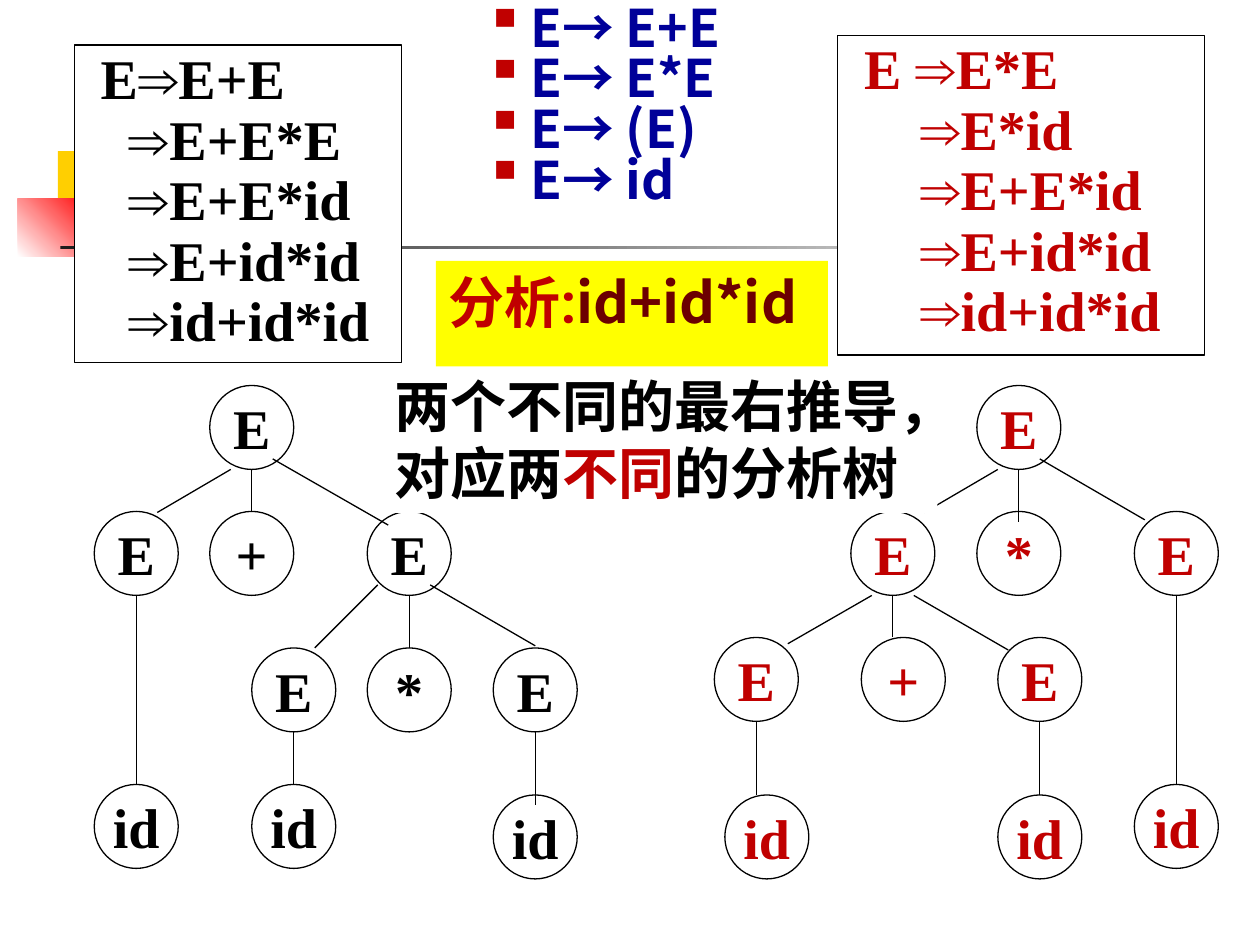
from lxml.etree import SubElement
from pptx import Presentation
from pptx.dml.color import RGBColor
from pptx.enum.shapes import MSO_CONNECTOR, MSO_SHAPE
from pptx.enum.text import MSO_ANCHOR, PP_ALIGN
from pptx.oxml.ns import qn
from pptx.util import Cm, Pt

COLORS = {
    "black": "000000", "white": "FFFFFF", "red": "C00000", "maroon": "6C0000",
    "navy": "000099", "yellow": "FFFF00", "gold": "FFCF01",
    "bright_red": "FF0000", "charcoal": "1C1C1C",
}
SERIF, SANS, CJK = "Times New Roman", "Roboto", "Noto Sans CJK SC"
STEP = Cm(2.54) / 12
NODE_SIZE = 8

LEFT_STEPS = ["E⇒E+E", "⇒E+E*E", "⇒E+E*id", "⇒E+id*id", "⇒id+id*id"]
RIGHT_STEPS = ["E ⇒E*E", "⇒E*id", "⇒E+E*id", "⇒E+id*id", "⇒id+id*id"]
RULES = ["E→ E+E", "E→ E*E", "E→ (E)", "E→ id"]

SUM_NODES = [
    ("E", 11, 0), ("E", 0, 12), ("+", 11, 12), ("E", 26, 12),
    ("E", 15, 25), ("*", 26, 25), ("E", 38, 25),
    ("id", 0, 38), ("id", 15, 38), ("id", 38, 39),
]
SUM_EDGES = [
    (15, 8, 15, 12), (13, 8, 6, 12.1), (17, 7, 28, 13.3), (4, 20, 4, 38),
    (30, 20, 30, 25), (27, 19, 21, 25), (32, 19, 42, 24.8),
    (19, 33, 19, 38), (42, 33, 42, 40),
]
PRODUCT_NODES = [
    ("E", 25, 0), ("E", 13, 12), ("*", 25, 12), ("E", 40, 12),
    ("E", 0, 24), ("+", 14, 24), ("E", 27, 24),
    ("id", 1, 39), ("id", 27, 39), ("id", 40, 38),
]
PRODUCT_EDGES = [
    (29, 8, 29, 13), (27, 8, 20, 12.1), (31, 7, 41, 12.8), (17, 20, 17, 24),
    (15, 20, 7, 24.6), (19, 20, 28, 25.2), (4, 32, 4, 39),
    (31, 32, 31, 39), (44, 20, 44, 38),
]


def rgb(name):
    """Return the named colour."""
    return RGBColor.from_string(COLORS[name])


def add_text(p, text, size=32, font=SERIF, color="black"):
    """Append a bold formatted run to a paragraph."""
    r = p.add_run()
    r.text = text
    r.font.size, r.font.bold, r.font.name = Pt(size), True, font
    r.font.color.rgb = rgb(color)
    SubElement(r.font._element, qn("a:ea"), typeface=font)


def add_block(s, kind, x, y, w, h, fill="white", line=None):
    """Add a preset shape with a plain fill and an optional outline."""
    sp = s.shapes.add_shape(kind, int(x), int(y), int(w), int(h))
    sp.shadow.inherit = False
    sp.fill.solid()
    sp.fill.fore_color.rgb = rgb(fill)
    if line:
        sp.line.color.rgb, sp.line.width = rgb(line), Pt(0.75)
    else:
        sp.line.fill.background()
    tf = sp.text_frame
    tf.word_wrap, tf.vertical_anchor = True, MSO_ANCHOR.TOP
    tf.paragraphs[0].alignment = PP_ALIGN.LEFT
    return sp


def add_paragraphs(tf, count):
    """Return the given number of left-aligned paragraphs of a frame."""
    for _ in range(count - 1):
        tf.add_paragraph()
    for p in tf.paragraphs:
        p.alignment = PP_ALIGN.LEFT
    return tf.paragraphs


def set_gradient(sp, start, end, angle):
    """Give a shape a two-colour linear gradient."""
    sp.fill.gradient()
    sp.fill.gradient_angle = angle
    for stop, color in zip(sp.fill.gradient_stops, (start, end)):
        stop.color.rgb = rgb(color)


def add_ornament(s, x, y):
    """Draw the corner squares and the fading rule."""
    rect = MSO_SHAPE.RECTANGLE
    add_block(s, rect, x + Cm(0.81), y, Cm(1.22), Cm(1.32), fill="gold")
    sp = add_block(s, rect, x, y + Cm(0.96), Cm(1.55), Cm(1.17))
    set_gradient(sp, "white", "bright_red", 45)
    sp = add_block(s, rect, x + Cm(0.86), y + Cm(1.9), Cm(22.86), Cm(0.08))
    set_gradient(sp, "charcoal", "white", 0)


def add_derivation(s, x, y, w, h, steps, indent, color):
    """Draw a framed derivation, one step a line."""
    sp = add_block(s, MSO_SHAPE.RECTANGLE, x, y, w, h, line="black")
    for i, (p, step) in enumerate(zip(add_paragraphs(sp.text_frame, len(steps)), steps)):
        p.line_spacing = 0.9
        p._p.get_or_add_pPr().set("marL", str(indent if i else Cm(0.28)))
        add_text(p, step, color=color)


def add_tree(s, x, y, nodes, edges, color):
    """Draw a parse tree on a grid of steps from its top left corner."""
    size = NODE_SIZE * STEP
    for label, col, row in nodes:
        sp = add_block(s, MSO_SHAPE.OVAL, x + col * STEP, y + row * STEP, size, size, line="black")
        tf = sp.text_frame
        tf.word_wrap, tf.vertical_anchor = False, MSO_ANCHOR.MIDDLE
        tf.paragraphs[0].alignment = PP_ALIGN.CENTER
        add_text(tf.paragraphs[0], label, color=color)
    for x1, y1, x2, y2 in edges:
        ends = (x + x1 * STEP, y + y1 * STEP, x + x2 * STEP, y + y2 * STEP)
        edge = s.shapes.add_connector(MSO_CONNECTOR.STRAIGHT, *map(int, ends))
        edge.line.color.rgb, edge.line.width = rgb("black"), Pt(0.75)
        SubElement(edge._element.spPr, qn("a:effectLst"))


def add_grammar(s, x, y, w, h):
    """Write the grammar rules as a bulleted list."""
    tf = s.shapes.add_textbox(x, y, w, h).text_frame
    tf.word_wrap = True
    for i, (p, rule) in enumerate(zip(add_paragraphs(tf, len(RULES)), RULES)):
        p.line_spacing = 0.5
        if i:
            p.space_before = Pt(11.1)
        pPr = p._p.get_or_add_pPr()
        pPr.set("marL", str(Cm(0.74)))
        pPr.set("indent", str(-Cm(0.74)))
        SubElement(SubElement(pPr, qn("a:buClr")), qn("a:srgbClr"), val=COLORS["red"])
        SubElement(pPr, qn("a:buSzPct"), val="60000")
        SubElement(pPr, qn("a:buChar"), char="■")
        add_text(p, rule, size=29.6, font=CJK, color="navy")


def add_banner(s, x, y, w, h, runs, fill):
    """Draw a filled box holding one paragraph of coloured runs."""
    sp = add_block(s, MSO_SHAPE.RECTANGLE, x, y, w, h, fill=fill)
    for text, font, color in runs:
        add_text(sp.text_frame.paragraphs[0], text, font=font, color=color)


def main():
    """Build the slide and save it."""
    prs = Presentation()
    prs.slide_width, prs.slide_height = Cm(25.4), Cm(19.05)
    s = prs.slides.add_slide(prs.slide_layouts[6])
    add_ornament(s, Cm(0.36), Cm(3.05))
    add_derivation(s, Cm(16.89), Cm(0.71), Cm(7.39), Cm(6.45), RIGHT_STEPS, Cm(1.41), "red")
    add_tree(s, Cm(1.9), Cm(7.77), SUM_NODES, SUM_EDGES, "black")
    add_tree(s, Cm(14.4), Cm(7.77), PRODUCT_NODES, PRODUCT_EDGES, "red")
    add_banner(s, Cm(7.7), Cm(7.37), Cm(11.2), Cm(2.97), [
        ("两个不同的最右推导，对应两", SANS, "black"),
        ("不同", SANS, "red"),
        ("的分析树", SANS, "black"),
    ], "white")
    add_derivation(s, Cm(1.5), Cm(0.91), Cm(6.6), Cm(6.4), LEFT_STEPS, Cm(0.85), "black")
    add_grammar(s, Cm(9.7), Cm(0.33), Cm(5.33), Cm(5.21))
    add_banner(s, Cm(8.79), Cm(5.26), Cm(7.9), Cm(2.13), [
        ("分析:", SANS, "red"),
        ("id+id*id", CJK, "maroon"),
    ], "yellow")
    prs.save("out.pptx")


if __name__ == "__main__":
    main()
